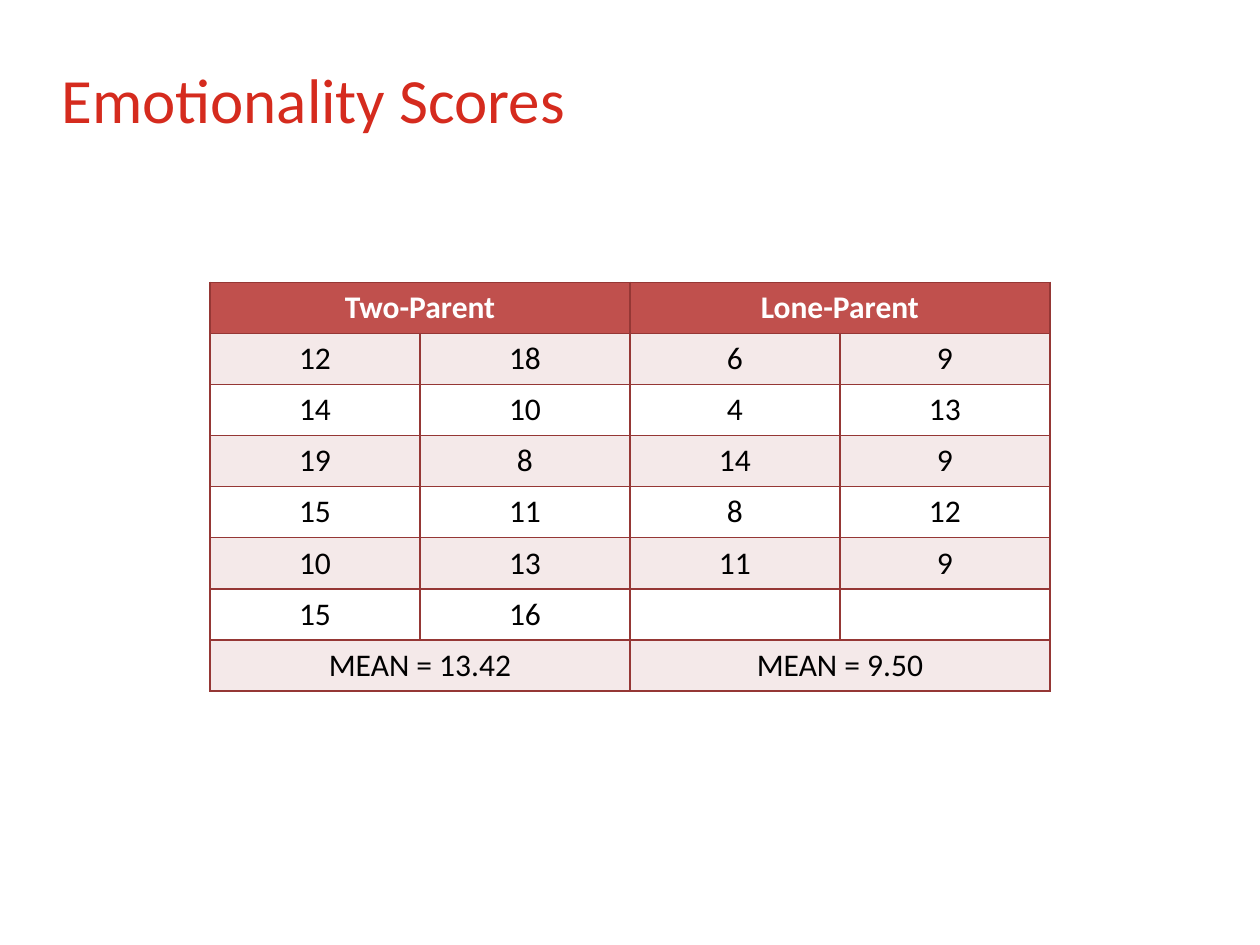
from lxml.etree import SubElement
from pptx import Presentation
from pptx.dml.color import RGBColor
from pptx.enum.text import MSO_ANCHOR, PP_ALIGN
from pptx.oxml.ns import qn
from pptx.util import Pt

COLORS = {
    "title": "D52B1E",
    "header": "C0504D",
    "band": "F4E9E9",
    "plain": "FFFFFF",
    "border": "953735",
    "text": "000000",
    "header_text": "FFFFFF",
}
FONT = "Calibri"
GROUPS = ["Two-Parent", "Lone-Parent"]
SCORES = [
    [12, 18, 6, 9],
    [14, 10, 4, 13],
    [19, 8, 14, 9],
    [15, 11, 8, 12],
    [10, 13, 11, 9],
    [15, 16, "", ""],
]
MEANS = ["MEAN = 13.42", "MEAN = 9.50"]


def rgb(name):
    return RGBColor.from_string(COLORS[name])


def write(tf, text, size=18, color="text", bold=False, align=PP_ALIGN.CENTER, spacing=None):
    p = tf.paragraphs[0]
    p.alignment = align
    p.line_spacing = spacing
    p.font.size = Pt(size)
    p.font.name = FONT
    if text:
        r = p.add_run()
        r.text = text
        r.font.name = FONT
        r.font.size = Pt(size)
        r.font.bold = bold
        r.font.color.rgb = rgb(color)


def set_borders(cell, color, width=1):
    """Line all four sides; borders must precede the fill in the cell XML."""
    tc_pr = cell._tc.get_or_add_tcPr()
    for side in ("a:lnL", "a:lnR", "a:lnT", "a:lnB"):
        ln = SubElement(tc_pr, qn(side), w=str(Pt(width)))
        fill = SubElement(ln, qn("a:solidFill"))
        SubElement(fill, qn("a:srgbClr"), val=COLORS[color])


def add_title(s, text, left, top, width, height):
    sp = s.shapes.title
    sp.left, sp.top, sp.width, sp.height = map(Pt, (left, top, width, height))
    tf = sp.text_frame
    tf.word_wrap = True
    tf.vertical_anchor = MSO_ANCHOR.TOP
    tf.margin_left = tf.margin_right = Pt(4)
    tf.margin_top = tf.margin_bottom = Pt(5)
    write(tf, text, size=36, color="title", align=PP_ALIGN.LEFT, spacing=Pt(35))


def add_scores_table(s, left, top, width, height):
    """Group headings and means each span the two columns of their group."""
    def spread(labels):
        return [text for label in labels for text in (label, "")]

    rows = [spread(GROUPS), *SCORES, spread(MEANS)]
    n_rows, n_cols = len(rows), len(rows[0])
    table = s.shapes.add_table(n_rows, n_cols, *map(Pt, (left, top, width, height))).table
    for column in table.columns:
        column.width = Pt(width / n_cols)
    for i, values in enumerate(rows):
        table.rows[i].height = Pt(height / n_rows)
        header = i == 0
        fill = "header" if header else "band" if i % 2 else "plain"
        for j, value in enumerate(values):
            cell = table.cell(i, j)
            set_borders(cell, "border")
            cell.fill.solid()
            cell.fill.fore_color.rgb = rgb(fill)
            write(cell.text_frame, str(value), bold=header,
                  color="header_text" if header else "text")
    for i in (0, n_rows - 1):
        for j in range(0, n_cols, 2):
            table.cell(i, j).merge(table.cell(i, j + 1))


def main():
    prs = Presentation()
    prs.slide_width, prs.slide_height = Pt(720), Pt(540)
    s = prs.slides.add_slide(prs.slide_layouts[5])
    add_title(s, "Emotionality Scores", 31, 37.5, 533, 90.5)
    add_scores_table(s, 120, 161.3, 480, 233.6)
    prs.save("out.pptx")


if __name__ == "__main__":
    main()
